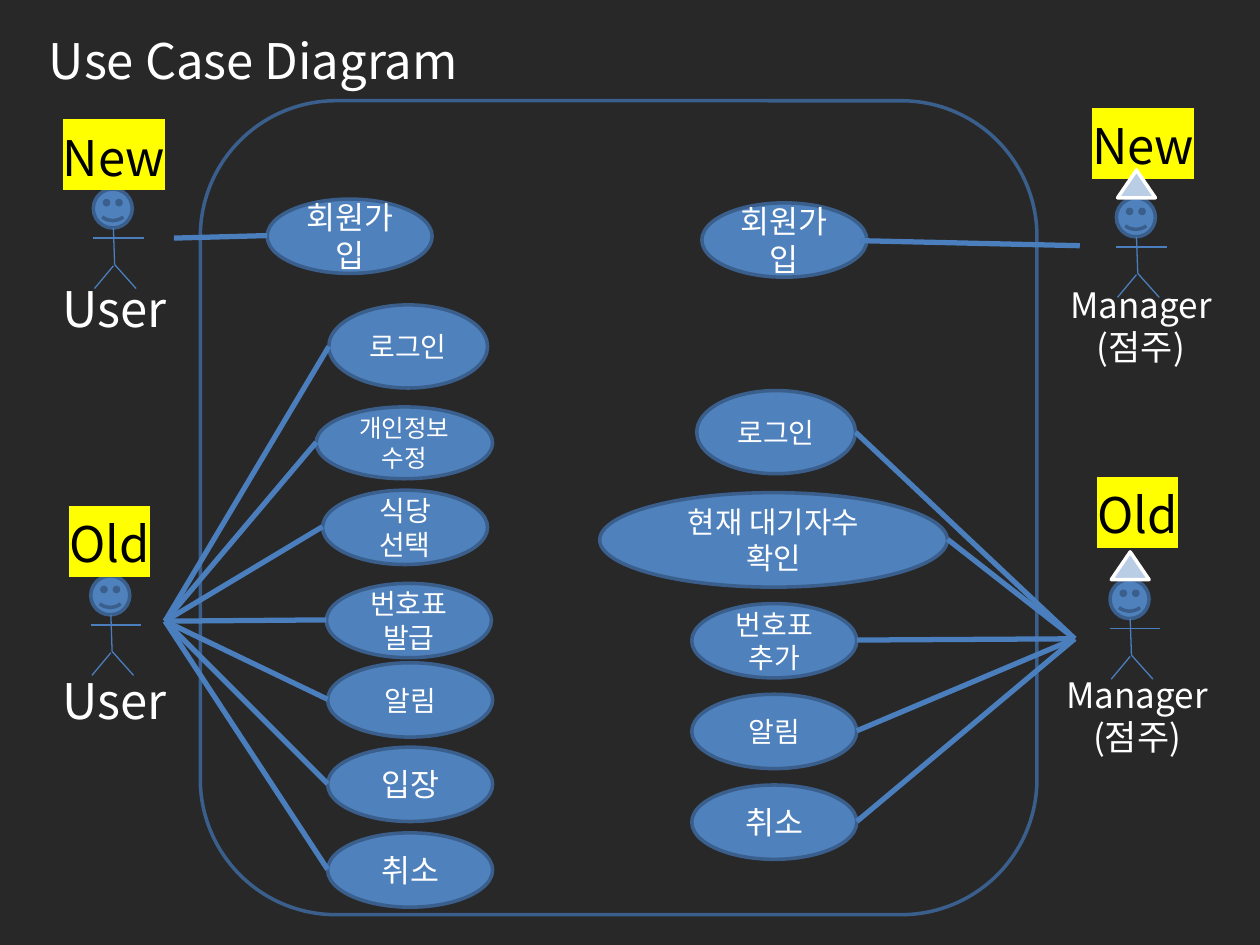
from lxml.etree import SubElement
from pptx import Presentation
from pptx.dml.color import RGBColor
from pptx.enum.shapes import MSO_CONNECTOR as Wire, MSO_SHAPE as Form
from pptx.enum.text import PP_ALIGN as Align
from pptx.oxml.ns import qn
from pptx.util import Pt

PX = 9144
FONT = "Noto Sans CJK KR"
DARK = RGBColor(0x28, 0x28, 0x28)
WHITE = RGBColor(0xFF, 0xFF, 0xFF)
BLACK = RGBColor(0x00, 0x00, 0x00)
YELLOW = RGBColor(0xFF, 0xFF, 0x00)
BLUE = RGBColor(0x4F, 0x81, 0xBD)
EDGE = RGBColor(0x3A, 0x5F, 0x8C)
LINK = RGBColor(0x4B, 0x7E, 0xBC)
PALE = RGBColor(0xB9, 0xCD, 0xE5)

LIMBS = [(17, 60, 34, 79), (16, 31, 17, 60), (0, 39, 40, 39), (16, 61, 1, 79)]

USER_CASES = [
    ((261, 242, 126, 66), "로그인", 16),
    ((251, 323, 140, 57), "개인정보 수정", 14),
    ((256, 389, 131, 59), "식당 선택", 16),
    ((259, 463, 131, 59), "번호표\n발급", 16),
    ((260, 526, 131, 59), "알림", 16),
    ((260, 593, 131, 59), "입장", 18),
    ((260, 661, 131, 59), "취소", 18),
]
OWNER_CASES = [
    ((553, 310, 126, 66), "로그인", 16),
    ((476, 391, 276, 75), "현재 대기자수\n확인", 17),
    ((549, 479, 131, 59), "번호표\n추가", 16),
    ((549, 551, 131, 59), "알림", 16),
    ((549, 623, 131, 59), "취소", 18),
]


def scale(box):
    return [n * PX for n in box]


def write(frame, text, size, color, align=None, mark=None):
    frame.word_wrap = True
    frame.text = text
    for para in frame.paragraphs:
        para.alignment = align
        font = para.font
        font.name, font.size = FONT, Pt(size)
        font.color.rgb = color
        SubElement(para._p.pPr.find(qn("a:defRPr")), qn("a:ea"), typeface=FONT)
        if mark:
            props = para.runs[0]._r.get_or_add_rPr()
            light = SubElement(props, qn("a:highlight"))
            SubElement(light, qn("a:srgbClr"), val=str(mark))


def label(shapes, box, *style):
    write(shapes.add_textbox(*scale(box)).text_frame, *style)


def draw(shapes, form, box, fill=BLUE, edge=EDGE):
    shape = shapes.add_shape(form, *scale(box))
    shape.shadow.inherit = False
    if fill is None:
        shape.fill.background()
    else:
        shape.fill.solid()
        shape.fill.fore_color.rgb = fill
    shape.line.color.rgb = edge
    shape.line.width = Pt(2)
    return shape


def join(shapes, ends, width=3):
    wire = shapes.add_connector(Wire.STRAIGHT, *scale(ends))
    wire.line.color.rgb = LINK
    wire.line.width = Pt(width)
    SubElement(wire._element.spPr, qn("a:effectLst"))


def case(shapes, box, text, size):
    oval = draw(shapes, Form.OVAL, box)
    write(oval.text_frame, text, size, WHITE, Align.CENTER)


def fan(shapes, cases, hub, right):
    for item in cases:
        case(shapes, *item)
    for (x, y, w, h), *_ in cases:
        join(shapes, (*hub, x + w * right, y + h // 2))


def actor(shapes, x, y, tag, shift, name, place, owner=False):
    group = shapes.add_group_shape().shapes
    draw(group, Form.SMILEY_FACE, (x, y, 31, 31))
    for a, b, c, d in LIMBS:
        join(group, (x + a, y + b, x + c, y + d), 0.75)
    left, top = x + place[0], y + place[1]
    if owner:
        label(group, (left, top, 139, 77), name, 20, WHITE, Align.CENTER)
    else:
        label(group, (left, top, 108, 57), name, 28, WHITE)
    spot = (x + shift[0], y + shift[1], 120 if owner else 108, 57)
    label(group, spot, tag, 28, BLACK, None, YELLOW)
    if owner:
        draw(group, Form.ISOSCELES_TRIANGLE, (x + 1, y - 22, 30, 22), PALE, WHITE)


def users(shapes):
    case(shapes, (212, 158, 131, 59), "회원가입", 18)
    actor(shapes, 74, 150, "New", (-34, -54), "User", (-34, 66))
    actor(shapes, 72, 457, "Old", (-27, -54), "User", (-32, 70))
    join(shapes, (138, 189, 212, 187))
    fan(shapes, USER_CASES, (131, 493), False)


def owners(shapes):
    name = "Manager\n(점주)"
    actor(shapes, 886, 157, "New", (-29, -70), name, (-50, 63), True)
    actor(shapes, 881, 460, "Old", (-20, -80), name, (-48, 70), True)
    case(shapes, (557, 161, 131, 59), "회원가입", 18)
    join(shapes, (682, 191, 857, 195))
    fan(shapes, OWNER_CASES, (853, 507), True)


def main():
    deck = Presentation()
    deck.slide_width, deck.slide_height = scale((1000, 750))
    slide = deck.slides.add_slide(deck.slide_layouts[6])
    back = slide.background.fill
    back.solid()
    back.fore_color.rgb = DARK
    shapes = slide.shapes
    label(shapes, (29, 19, 528, 57), "Use Case Diagram", 28, WHITE)
    draw(shapes, Form.ROUNDED_RECTANGLE, (159, 80, 664, 646), None)
    users(shapes)
    owners(shapes)
    deck.save("out.pptx")


if __name__ == "__main__":
    main()
